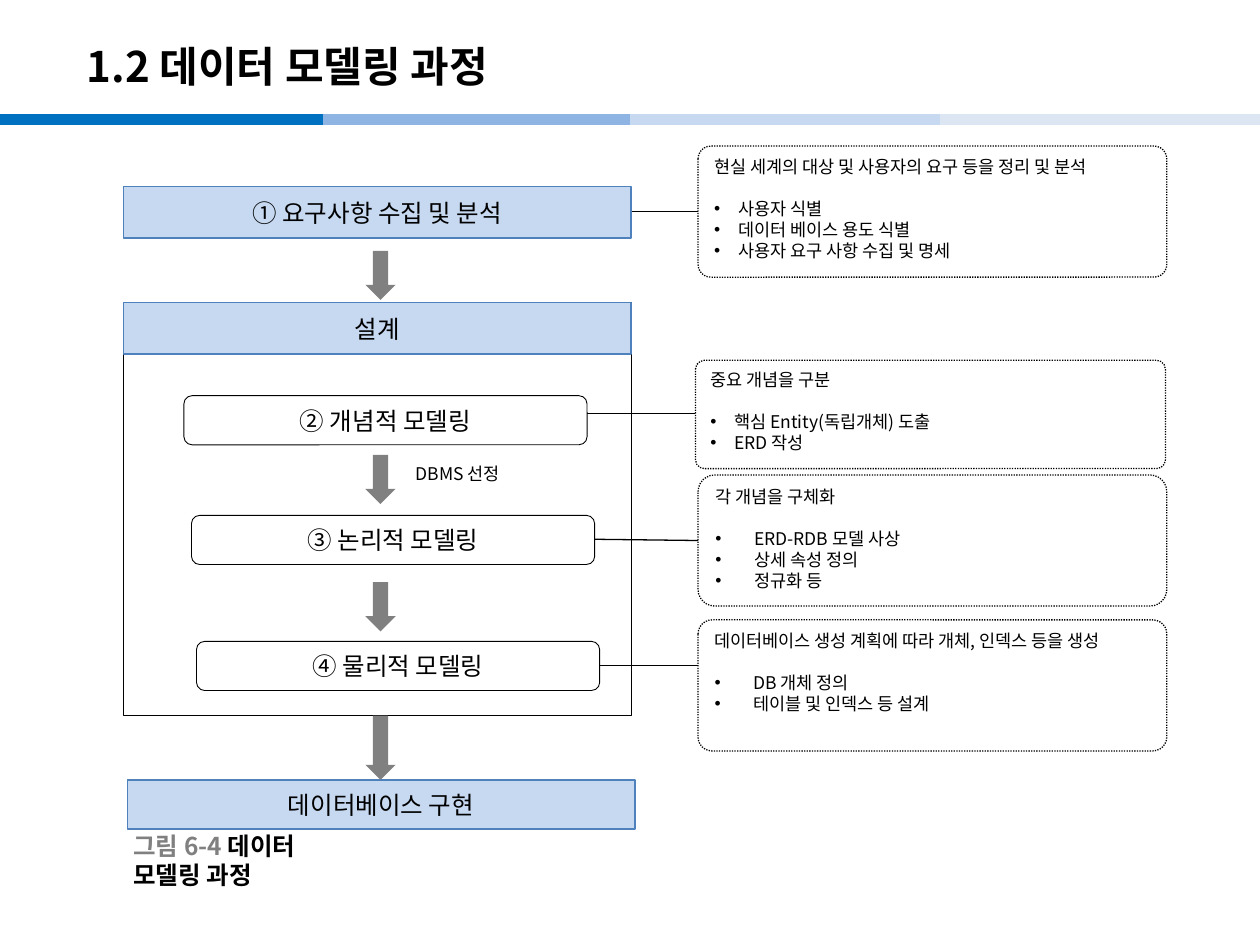
import pptx
import pptx.util
import pptx.dml.color
import pptx.enum.dml
import pptx.enum.shapes
import pptx.enum.text
import pptx.oxml.ns
from lxml import etree

Inches = pptx.util.Inches
Pt = pptx.util.Pt
RGBColor = pptx.dml.color.RGBColor
SHAPE = pptx.enum.shapes.MSO_SHAPE
ALIGN = pptx.enum.text.PP_ALIGN
ANCHOR = pptx.enum.text.MSO_ANCHOR
qn = pptx.oxml.ns.qn

FONT = "Noto Sans CJK KR"
BLACK = RGBColor(0x00, 0x00, 0x00)
WHITE = RGBColor(0xFF, 0xFF, 0xFF)
GRAY = RGBColor(0x80, 0x80, 0x80)
PALE_BLUE = RGBColor(0xC6, 0xD9, 0xF1)
EDGE_BLUE = RGBColor(0x4F, 0x81, 0xBD)
BAND = [
    (0, RGBColor(0x00, 0x70, 0xC0)),
    (2.56, RGBColor(0x8E, 0xB4, 0xE3)),
    (5, PALE_BLUE),
    (7.46, RGBColor(0xDC, 0xE6, 0xF2)),
]
MODELS = [
    (1.46, 3.14, "② 개념적 모델링"),
    (1.52, 4.09, "③ 논리적 모델링"),
    (1.56, 5.09, "④ 물리적 모델링"),
]
NOTES = [
    ((5.54, 1.16, 3.72, 1.04), 0.097, 0.19, "현실 세계의 대상 및 사용자의 요구 등을 정리 및 분석",
     ["사용자 식별", "데이터 베이스 용도 식별", "사용자 요구 사항 수집 및 명세"]),
    ((5.52, 2.86, 3.73, 0.86), 0.082, 0.19, "중요 개념을 구분",
     ["핵심 Entity(독립개체) 도출", "ERD 작성"]),
    ((5.54, 3.77, 3.72, 1.04), 0.127, 0.31, "각 개념을 구체화",
     ["ERD-RDB 모델 사상", "상세 속성 정의", "정규화 등"]),
    ((5.54, 4.92, 3.72, 1.04), 0.107, 0.31, "데이터베이스 생성 계획에 따라 개체, 인덱스 등을 생성",
     ["DB 개체 정의", "테이블 및 인덱스 등 설계"]),
]
LINKS = [
    (4.66, 3.28, 5.52, 3.28),
    (4.72, 4.28, 5.54, 4.29),
    (4.76, 5.28, 5.54, 5.28),
    (5.01, 1.68, 5.54, 1.68),
]
ARROWS = [(1.99, 0.39), (3.61, 0.39), (4.62, 0.39), (5.68, 0.51)]


def style_run(r, size, color=BLACK, bold=False):
    """Set the font of a run for Latin and Korean text."""
    r.font.size = Pt(size)
    r.font.name = FONT
    r.font.bold = bold
    r.font.color.rgb = color
    etree.SubElement(r.font._element, qn("a:ea")).set("typeface", FONT)


def add_line(s, x1, y1, x2, y2, color=BLACK, width=0.75):
    """Add a straight line without shadow."""
    line = s.shapes.add_connector(
        pptx.enum.shapes.MSO_CONNECTOR.STRAIGHT,
        Inches(x1), Inches(y1), Inches(x2), Inches(y2))
    line.line.color.rgb = color
    line.line.width = Pt(width)
    etree.SubElement(line._element.spPr, qn("a:effectLst"))


def add_box(s, kind, box, fill=WHITE, edge=BLACK, width=0.75, text=""):
    """Add a filled shape with optional centred text."""
    sp = s.shapes.add_shape(kind, *map(Inches, box))
    sp.shadow.inherit = False
    sp.fill.solid()
    sp.fill.fore_color.rgb = fill
    if edge is None:
        sp.line.fill.background()
    else:
        sp.line.color.rgb = edge
        sp.line.width = Pt(width)
    if text:
        tf = sp.text_frame
        tf.text = text
        tf.vertical_anchor = ANCHOR.MIDDLE
        p = tf.paragraphs[0]
        p.alignment = ALIGN.CENTER
        style_run(p.runs[0], 14)
    return sp


def add_bullet(p, indent):
    """Give a paragraph a round bullet with a hanging indent."""
    pPr = p._p.get_or_add_pPr()
    pPr.set("marL", str(Inches(indent)))
    pPr.set("indent", str(-Inches(indent)))
    etree.SubElement(pPr, qn("a:buFont")).set("typeface", "Arial")
    etree.SubElement(pPr, qn("a:buChar")).set("char", "•")


def add_note(s, box, radius, indent, heading, items):
    """Add a dotted note with a heading and bulleted items."""
    sp = add_box(s, SHAPE.ROUNDED_RECTANGLE, box)
    sp.adjustments[0] = radius
    sp.line.dash_style = pptx.enum.dml.MSO_LINE.ROUND_DOT
    tf = sp.text_frame
    tf.vertical_anchor = ANCHOR.TOP
    tf.text = "\n".join([heading, *items])
    for i, p in enumerate(tf.paragraphs):
        p.alignment = ALIGN.LEFT
        p.line_spacing = Pt(12)
        p.space_before = Pt(12 if i == 1 else 0)
        if i:
            add_bullet(p, indent)
        style_run(p.runs[0], 10)


def add_label(s, box, parts, size, bold=False, align=ALIGN.LEFT, wrap=True):
    """Add a one-line text box made of coloured parts."""
    tf = s.shapes.add_textbox(*map(Inches, box)).text_frame
    tf.word_wrap = wrap
    tf.vertical_anchor = ANCHOR.MIDDLE
    p = tf.paragraphs[0]
    p.alignment = align
    for text, color in parts:
        r = p.add_run()
        r.text = text
        style_run(r, size, color, bold)


def set_title(s, text):
    """Place and format the slide title."""
    sp = s.shapes.title
    sp.left, sp.top, sp.width, sp.height = map(Inches, (0.59, 0.22, 8.27, 0.6))
    tf = sp.text_frame
    tf.text = text
    tf.vertical_anchor = ANCHOR.MIDDLE
    p = tf.paragraphs[0]
    p.alignment = ALIGN.LEFT
    style_run(p.runs[0], 24, bold=True)


def main():
    """Build the data modelling process slide."""
    prs = pptx.Presentation()
    prs.slide_width, prs.slide_height = Inches(10), Inches(7.5)
    s = prs.slides.add_slide(prs.slide_layouts[5])
    set_title(s, "1.2 데이터 모델링 과정")
    for x, color in BAND:
        add_line(s, x, 0.95, x + 2.56, 0.95, color, 6)

    add_box(s, SHAPE.RECTANGLE, (0.98, 2.4, 4.03, 3.28), width=0.25)
    for x, y, text in MODELS:
        add_box(s, SHAPE.ROUNDED_RECTANGLE, (x, y, 3.2, 0.39), width=0.5, text=text)
    for note in NOTES:
        add_note(s, *note)
    add_label(s, (3.13, 3.61, 1.01, 0.3), [("DBMS 선정", BLACK)], 10, align=ALIGN.CENTER)
    for link in LINKS:
        add_line(s, *link)
    for x, y, h, text in [(0.98, 1.48, 0.41, "① 요구사항 수집 및 분석"),
                          (0.98, 2.4, 0.41, "설계"),
                          (1.01, 6.19, 0.39, "데이터베이스 구현")]:
        add_box(s, SHAPE.RECTANGLE, (x, y, 4.03, h), PALE_BLUE, EDGE_BLUE, text=text)
    for y, h in ARROWS:
        add_box(s, SHAPE.DOWN_ARROW, (2.9, y, 0.24, h), GRAY, None)
    add_label(s, (0.96, 6.67, 2.05, 0.31),
              [("그림 6-4 ", GRAY), ("데이터 모델링 과정", BLACK)], 14, bold=True, wrap=False)
    prs.save("out.pptx")


if __name__ == "__main__":
    main()
